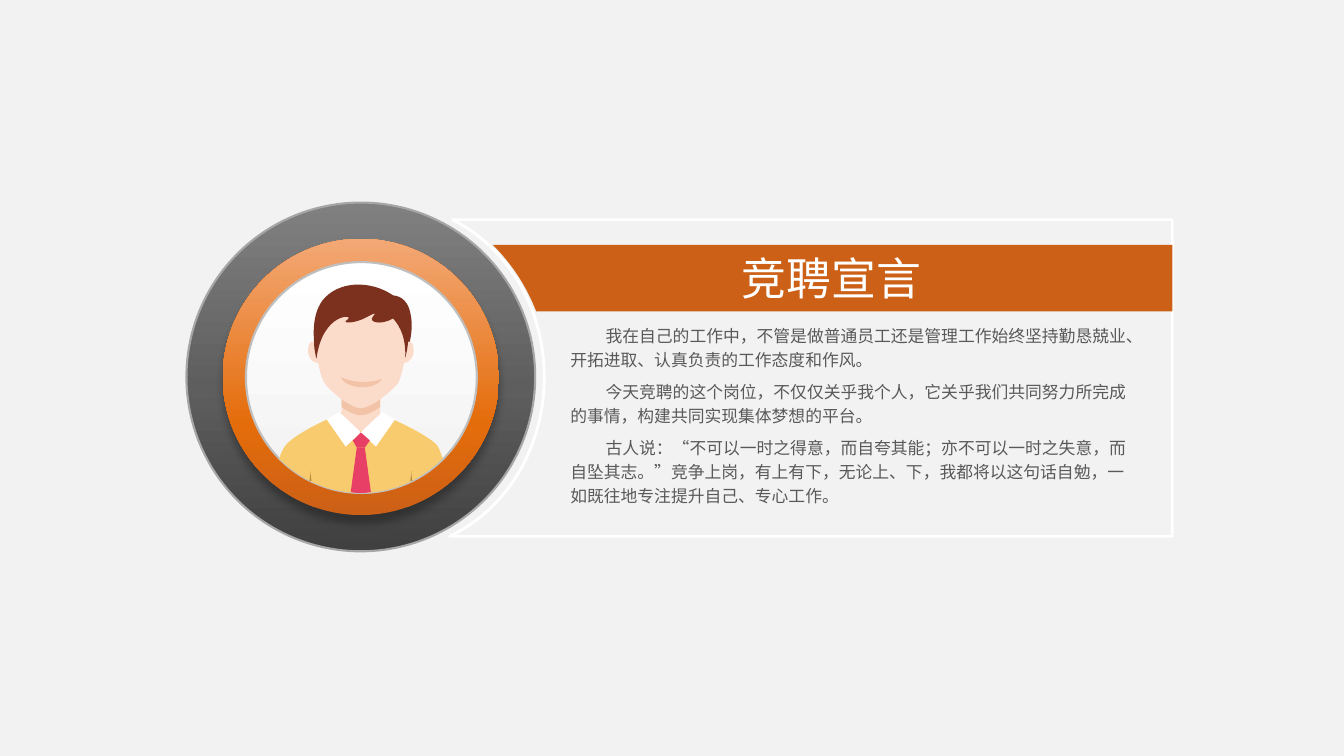
from pptx import Presentation
from pptx.dml.color import RGBColor
from pptx.enum.shapes import MSO_SHAPE as Shape
from pptx.enum.text import MSO_AUTO_SIZE as AutoSize
from pptx.oxml import parse_xml
from pptx.oxml.ns import nsdecls, qn
from pptx.util import Emu, Pt

PX = 9144  # EMU in one px: 100 px to the inch
SLIDE_WIDTH, SLIDE_HEIGHT = Emu(12192000), Emu(6858000)
FONT = "Noto Sans CJK SC"
FACE_AXIS = 358

WHITE = RGBColor(0xFF, 0xFF, 0xFF)
PAPER = RGBColor(0xF2, 0xF2, 0xF2)
ORANGE = RGBColor(0xCC, 0x60, 0x16)
MID_ORANGE = RGBColor(0xE4, 0x6C, 0x0A)
PALE_ORANGE = RGBColor(0xF3, 0xA8, 0x75)
TEXT_GREY = RGBColor(0x59, 0x59, 0x59)
DARK_GREY = RGBColor(0x40, 0x40, 0x40)
MID_GREY = RGBColor(0x5E, 0x5E, 0x5E)
GREY = RGBColor(0x80, 0x80, 0x80)
RING_EDGE = RGBColor(0xA6, 0xA6, 0xA6)
DISC_EDGE = RGBColor(0xBF, 0xBF, 0xBF)
HAIR = RGBColor(0x7C, 0x30, 0x1E)
SKIN = RGBColor(0xFB, 0xDC, 0xCB)
SKIN_SHADE = RGBColor(0xF3, 0xC3, 0xA8)
SHIRT = RGBColor(0xF8, 0xCC, 0x6E)
FOLD = RGBColor(0xB7, 0x8C, 0x3C)
TIE = RGBColor(0xE8, 0x3F, 0x67)

# An outline is a list of steps: 2 numbers draw a line, 6 numbers a Bézier curve.
PANEL = [(449, 218), (1163, 218), (1163, 532), (446, 532),
         (502, 506, 540, 445, 540, 374), (540, 305, 503, 245, 449, 218)]
BANNER = [(489, 243), (1163, 243), (1163, 309), (532, 309),
          (522, 283, 507, 261, 489, 243)]

BACK_HAIR = [(390, 293), (400, 294, 405, 301, 407, 310), (413, 333, 401, 382, 359, 383),
             (337, 383, 322, 377, 316, 360), (310, 342, 308, 314, 320, 298),
             (336, 278, 368, 278, 390, 293)]
BODY = [(340, 409), (301, 426, 289, 436, 285, 440), (282, 443, 279, 448, 277, 455),
        (298, 476, 326, 489, 358, 489), (390, 489, 418, 476, 439, 455),
        (437, 448, 435, 443, 432, 440), (427, 436, 416, 427, 376, 410)]
NECK = [(377, 375), (377, 418, 377, 418, 377, 418), (367, 431, 350, 431, 339, 418),
        (339, 375, 339, 375, 339, 375), (339, 351, 377, 351, 377, 375)]
NECK_SHADE = [(377, 375), (377, 404, 377, 404, 377, 404), (370, 409, 363, 412, 358, 412),
              (353, 412, 346, 409, 339, 404), (339, 375, 339, 375, 339, 375),
              (339, 351, 377, 351, 377, 375)]
HEAD = [(358, 297), (294, 297, 317, 374, 322, 380), (326, 387, 348, 405, 358, 405),
        (368, 405, 390, 387, 395, 380), (399, 374, 422, 297, 358, 297)]
SMILE = [(379, 376), (364, 381, 348, 379, 338, 374), (342, 386, 372, 388, 379, 376)]
EAR = [(309, 339), (312, 338, 317, 342, 318, 347), (320, 353, 319, 359, 316, 360),
       (312, 361, 308, 357, 306, 352), (305, 346, 306, 340, 309, 339)]
FRINGE = [(390, 316), (378, 323, 365, 320, 370, 314), (375, 308, 370, 312, 359, 317),
          (349, 321, 338, 321, 345, 317), (353, 312, 320, 309, 314, 356),
          (305, 322, 321, 294, 358, 292), (397, 290, 412, 321, 402, 355),
          (403, 337, 398, 325, 390, 316)]
COLLAR = [(337, 409), (324, 416), (343, 443), (358, 429), (337, 409)]
TIE_KNOT = [(350, 437), (354, 444, 354, 444, 354, 444), (357, 444, 359, 444, 362, 444),
            (367, 437, 367, 437, 367, 437), (358, 429, 358, 429, 358, 429), (350, 437)]
TIE_BLADE = [(354, 444), (348, 488, 348, 488, 348, 488), (351, 489, 355, 489, 358, 489),
             (362, 489, 365, 489, 368, 488), (362, 444, 362, 444, 362, 444), (354, 444)]
SLEEVE_FOLD = [(309, 477), (308, 471, 308, 467, 308, 467), (308, 467, 308, 471, 307, 477),
               (307, 477, 308, 477, 309, 477)]

DECLARATION = [
    "我在自己的工作中，不管是做普通员工还是管理工作始终坚持勤恳兢业、开拓进取、认真负责的工作态度和作风。",
    "今天竞聘的这个岗位，不仅仅关乎我个人，它关乎我们共同努力所完成的事情，构建共同实现集体梦想的平台。",
    "古人说：“不可以一时之得意，而自夸其能；亦不可以一时之失意，而自坠其志。”竞争上岗，有上有下，"
    "无论上、下，我都将以这句话自勉，一如既往地专注提升自己、专心工作。",
]


def mirrored(outline):
    """Reflect an outline in the vertical axis of the face."""
    return [tuple(2 * FACE_AXIS - value if i % 2 == 0 else value
                  for i, value in enumerate(step)) for step in outline]


class Painter:
    def __init__(self, slide):
        self.slide = slide
        self.shapes = slide.shapes

    def group(self):
        """Give a painter that draws inside a new group."""
        inner = Painter(self.slide)
        inner.shapes = self.shapes.add_group_shape().shapes
        return inner

    def finish(self, shape, color, line=None, width=2):
        shape.shadow.inherit = False
        if color is not None:
            shape.fill.solid()
            shape.fill.fore_color.rgb = color
        if line is None:
            shape.line.fill.background()
        else:
            shape.line.color.rgb = line
            shape.line.width = Pt(width)

    def backdrop(self, color):
        shape = self.shapes.add_shape(Shape.RECTANGLE, 0, 0, SLIDE_WIDTH, SLIDE_HEIGHT)
        self.finish(shape, color)

    def outline(self, outline, color, line=None):
        """Lay every point as a line, then join the three points of each curve."""
        points = [step[i:i + 2] for step in outline for i in range(0, len(step), 2)]
        builder = self.shapes.build_freeform(*points[0], scale=PX)
        builder.add_line_segments(points[1:], close=True)
        shape = builder.convert_to_shape()
        segments = iter(list(shape.element.iter(qn("a:lnTo"))))
        for step in outline[1:]:
            first = next(segments)
            if len(step) == 2:
                continue
            curve = parse_xml(f'<a:cubicBezTo {nsdecls("a")}/>')
            first.addprevious(curve)
            for segment in (first, next(segments), next(segments)):
                curve.append(segment[0])
                segment.getparent().remove(segment)
        self.finish(shape, color, line)

    def disc(self, left, top, size, stops, line=None, shadow=False):
        """Draw a circle whose gradient runs from bottom to top."""
        shape = self.shapes.add_shape(Shape.OVAL, left * PX, top * PX, size * PX, size * PX)
        self.finish(shape, None, line, 1.5)
        stop_xml = "".join(f'<a:gs pos="{pos * 1000}"><a:srgbClr val="{color}"/></a:gs>'
                           for pos, color in stops)
        properties = shape.element.spPr
        properties.find(qn("a:prstGeom")).addnext(parse_xml(
            f'<a:gradFill {nsdecls("a")} rotWithShape="1"><a:gsLst>{stop_xml}</a:gsLst>'
            '<a:lin ang="16200000" scaled="0"/></a:gradFill>'))
        if shadow:
            properties.find(qn("a:effectLst")).append(parse_xml(
                f'<a:outerShdw {nsdecls("a")} blurRad="{Pt(6)}" dist="{Pt(6)}" dir="5400000" '
                'algn="t" rotWithShape="0"><a:srgbClr val="000000"><a:alpha val="30000"/>'
                '</a:srgbClr></a:outerShdw>'))

    def text(self, left, top, width, height, lines, size, color, wrap=True,
             indent=0, leading=None, gap=0):
        box = self.shapes.add_textbox(left * PX, top * PX, width * PX, height * PX)
        frame = box.text_frame
        frame.word_wrap = wrap
        frame.auto_size = AutoSize.SHAPE_TO_FIT_TEXT
        for i, line in enumerate(lines):
            para = frame.add_paragraph() if i else frame.paragraphs[0]
            if indent:
                para._p.get_or_add_pPr().set("indent", str(indent * PX))
            if leading:
                para.line_spacing = Pt(leading)
            if i and gap:
                para.space_before = Pt(gap)
            span = para.add_run()
            span.text = line
            span.font.size = Pt(size)
            span.font.color.rgb = color
            span.font.name = FONT
            span.font._element.find(qn("a:latin")).addnext(
                parse_xml(f'<a:ea {nsdecls("a")} typeface="{FONT}"/>'))


def main():
    deck = Presentation()
    deck.slide_width, deck.slide_height = SLIDE_WIDTH, SLIDE_HEIGHT
    page = Painter(deck.slides.add_slide(deck.slide_layouts[6]))

    page.backdrop(PAPER)
    page.outline(PANEL, PAPER, WHITE)
    page.outline(BANNER, ORANGE)
    page.text(726, 244, 200, 64, ["竞聘宣言"], 32, WHITE, wrap=False)
    page.text(556, 315, 579, 194, DECLARATION, 12, TEXT_GREY, indent=35, leading=17, gap=6)

    page.disc(185, 201, 346, [(0, DARK_GREY), (47, MID_GREY), (100, GREY)], RING_EDGE)
    page.disc(221, 237, 274, [(0, ORANGE), (33, MID_ORANGE), (100, PALE_ORANGE)], shadow=True)
    page.disc(244, 260, 229, [(0, PAPER), (100, WHITE)], DISC_EDGE)

    portrait = page.group()
    for outline, color in [
        (BACK_HAIR, HAIR), (BODY, SHIRT), (NECK, SKIN), (NECK_SHADE, SKIN_SHADE),
        (HEAD, SKIN), (SMILE, SKIN_SHADE), (EAR, SKIN), (mirrored(EAR), SKIN),
        (FRINGE, HAIR), (COLLAR, WHITE), (mirrored(COLLAR), WHITE), (TIE_KNOT, TIE),
        (TIE_BLADE, TIE), (SLEEVE_FOLD, FOLD), (mirrored(SLEEVE_FOLD), FOLD),
    ]:
        portrait.outline(outline, color)

    deck.save("out.pptx")


if __name__ == "__main__":
    main()
